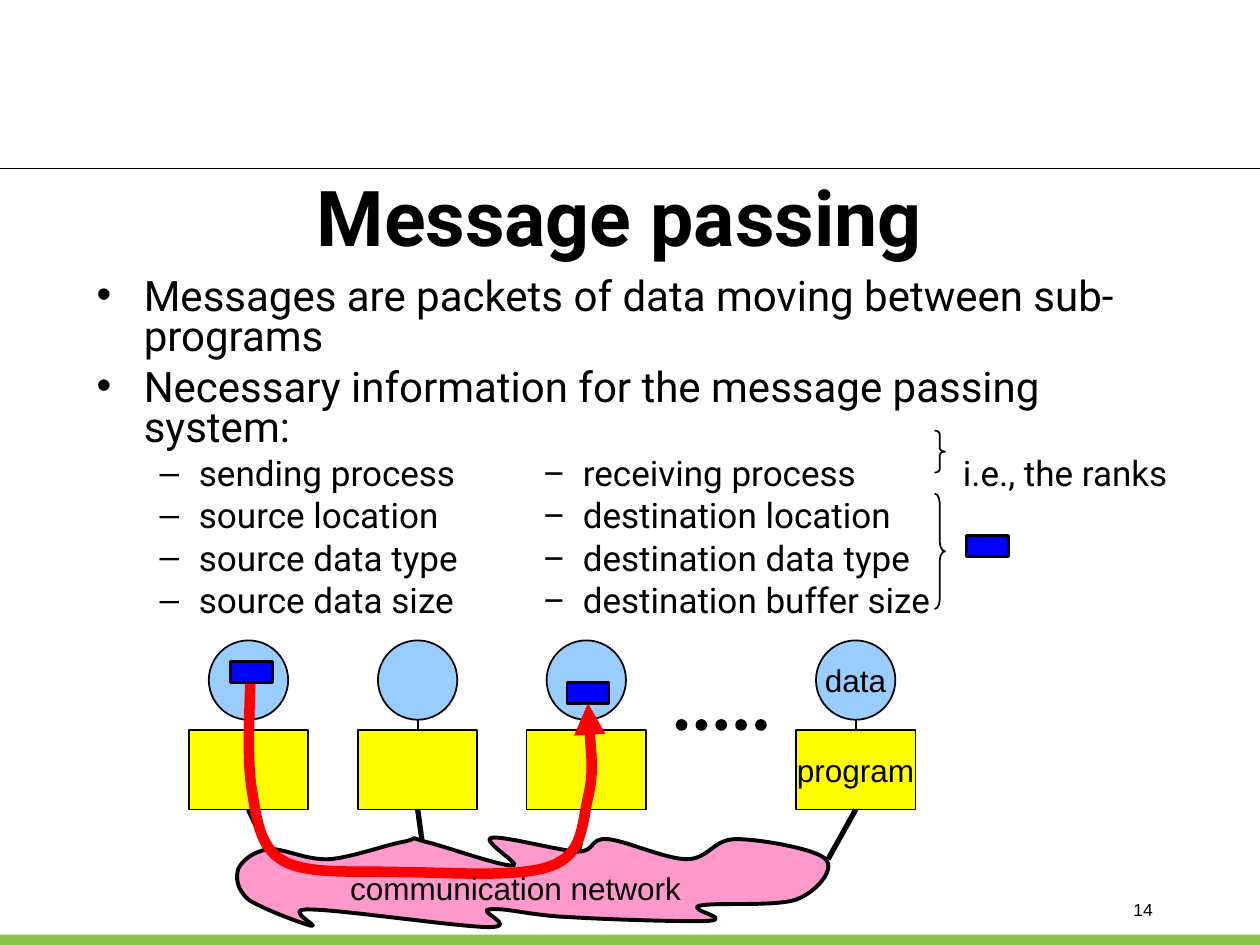
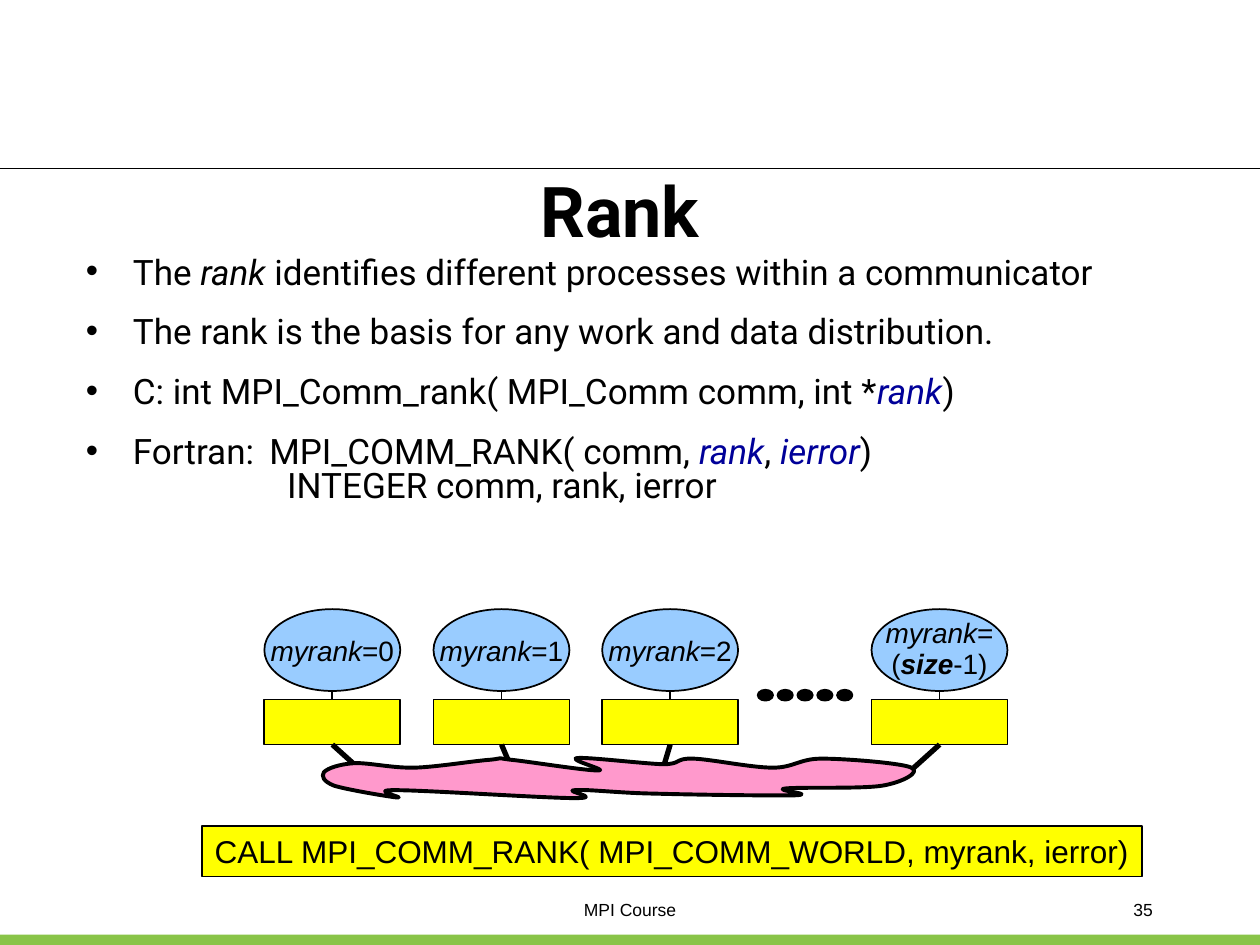
"""Build two slides on message passing and process ranks."""
from lxml.etree import SubElement
from pptx import Presentation
from pptx.dml.color import RGBColor
from pptx.enum.shapes import MSO_CONNECTOR, MSO_SHAPE
from pptx.enum.text import MSO_ANCHOR, PP_ALIGN
from pptx.oxml.ns import qn
from pptx.util import Cm, Pt

BLACK, GREEN, SKY, YELLOW = "000000", "89C448", "99CCFF", "FFFF00"
PINK, RED, BLUE, NAVY = "FF99CC", "FF0000", "0000FF", "000099"

PASSING = [
    (0, "Messages are packets of data moving between sub-programs"),
    (0, "Necessary information for the message passing system:"),
    (1, "sending process\t–\treceiving process\ti.e., the ranks"),
    (1, "source location\t–\tdestination location"),
    (1, "source data type\t–\tdestination data type"),
    (1, "source data size\t–\tdestination buffer size"),
]
RANK = [
    (0, [("The ", ""), ("rank", "i"),
         (" identifies different processes within a communicator", "")]),
    (0, "The rank is the basis for any work and data distribution."),
    (0, [("C: int MPI_Comm_rank( MPI_Comm comm, int *", ""),
         ("rank", "iv"), (")", "")]),
    (0, [("Fortran:\tMPI_COMM_RANK( comm, ", ""), ("rank", "iv"), (", ", ""),
         ("ierror", "iv"), (")\n\t\tINTEGER comm, rank, ierror", "")]),
]
CALL = "CALL MPI_COMM_RANK( MPI_COMM_WORLD, myrank, ierror)"
RANKS = [[("myrank", "i"), (f"={n}", "")] for n in range(3)]
RANKS.append([("myrank", "i"), ("=\n(", ""), ("size", "bi"), ("-1)", "")])

BULLETS = [("•", 0.95, 0.95), ("–", 2.06, 0.79)]
NODES = [5.01, 8.42, 11.82, 17.25]
LINKS = [(25, 11), (148, 5), (272, 13), (470, 19)]
GRID = 477, 73
CLOUD = [
    (26, 11), (38, 10), (56, 20), (74, 19), (91, 18), (121, 7), (134, 5),
    (147, 2), (136, 1), (150, 5), (164, 8), (211, 25), (220, 24),
    (228, 24), (194, 4), (203, 2), (211, 0), (256, 12), (271, 13),
    (286, 13), (280, 2), (295, 3), (309, 4), (341, 19), (358, 19),
    (375, 19), (379, 3), (397, 3), (416, 3), (461, 11), (468, 19),
    (476, 27), (461, 45), (445, 51), (428, 57), (380, 53), (368, 56),
    (357, 59), (394, 66), (376, 68), (359, 69), (294, 67), (264, 65),
    (235, 64), (212, 57), (201, 59), (191, 60), (225, 73), (201, 73),
    (178, 73), (83, 59), (59, 59), (36, 58), (68, 73), (60, 72),
    (52, 70), (20, 58), (10, 51), (1, 43), (0, 34), (2, 27),
    (5, 20), (14, 13), (26, 11),
]
ROUTE = [
    (3, 0), (3, 14), (0, 61), (4, 85), (8, 109), (10, 132), (29, 143),
    (48, 154), (85, 151), (121, 152), (156, 152), (217, 157), (242, 147),
    (267, 138), (266, 115), (271, 93), (276, 72), (272, 45), (271, 18),
]


def paint(fmt, tint):
    if tint:
        fmt.solid()
        fmt.fore_color.rgb = RGBColor.from_string(tint)
    else:
        fmt.background()


def style(shape, fill, line=BLACK, width=1):
    shape.shadow.inherit = False
    paint(shape.fill, fill)
    paint(shape.line.fill, line)
    shape.line.width = Pt(width)


def draw(slide, kind, box, fill, line=BLACK, width=1):
    shape = slide.shapes.add_shape(kind, *map(Cm, box))
    style(shape, fill, line, width)
    return shape


def join(slide, start, end, width=1):
    line = slide.shapes.add_connector(MSO_CONNECTOR.STRAIGHT, *map(Cm, start + end))
    paint(line.line.fill, BLACK)
    line.line.width = Pt(width)
    SubElement(line._element.spPr, qn("a:effectLst"))


def curve(slide, points, left, top, scale, close):
    pen = slide.shapes.build_freeform(*points[0], scale=scale)
    pen.add_line_segments(points[1:], close=close)
    shape = pen.convert_to_shape(Cm(left), Cm(top))
    trail = next(shape._element.iter(qn("a:path")))
    steps = iter(trail.findall(qn("a:lnTo")))
    for first, *rest in zip(steps, steps, steps):
        first.tag = qn("a:cubicBezTo")
        for step in rest:
            first.append(step[0])
            trail.remove(step)
    return shape


def write(para, runs, size, face="Arial", align=PP_ALIGN.LEFT, bold=False):
    para.alignment = align
    font = para.font
    font.size, font.name, font.bold = Pt(size), face, bold
    font.color.rgb = RGBColor.from_string(BLACK)
    for text, marks in [(runs, "")] if isinstance(runs, str) else runs:
        for i, part in enumerate(text.split("\n")):
            if i:
                para.add_line_break()
            run = para.add_run()
            run.text = part
            if "i" in marks:
                run.font.italic = True
            if "b" in marks:
                run.font.bold = True
            if "v" in marks:
                run.font.color.rgb = RGBColor.from_string(NAVY)


def label(shape, runs, size, align=PP_ALIGN.CENTER, anchor=MSO_ANCHOR.MIDDLE):
    frame = shape.text_frame
    frame.word_wrap = False
    frame.vertical_anchor = anchor
    write(frame.paragraphs[0], runs, size, align=align)
    return frame.paragraphs[0]


def block(slide, box, anchor=MSO_ANCHOR.TOP):
    frame = slide.shapes.add_textbox(*map(Cm, box)).text_frame
    frame.word_wrap = True
    frame.vertical_anchor = anchor
    return frame


def body(slide, box, items, sizes, gaps, tabs):
    frame = block(slide, box)
    for i, (level, runs) in enumerate(items):
        para = frame.add_paragraph() if i else frame.paragraphs[0]
        mark, left, hang = BULLETS[level]
        props = para._p.get_or_add_pPr()
        props.set("marL", str(Cm(left)))
        props.set("indent", str(-Cm(hang)))
        tint = SubElement(props, qn("a:buClr"))
        SubElement(tint, qn("a:srgbClr"), val=BLACK)
        SubElement(props, qn("a:buFont"), typeface="Arial")
        SubElement(props, qn("a:buChar"), char=mark)
        stops = SubElement(props, qn("a:tabLst"))
        for tab in tabs:
            SubElement(stops, qn("a:tab"), pos=str(Cm(tab)), algn="l")
        para.line_spacing = 0.8
        if i:
            para.space_before = Pt(gaps[level])
        write(para, runs, sizes[level], "Roboto")


def start(deck, title, top, high, size, page, foot=None):
    slide = deck.slides.add_slide(deck.slide_layouts[6])
    draw(slide, MSO_SHAPE.RECTANGLE, (0, 18.84, 25.4, 0.21), GREEN, None)
    join(slide, (0, 3.39), (25.4, 3.39), 0.75)
    if foot:
        frame = block(slide, (8.04, 17.99, 9.32, 0.64))
        write(frame.paragraphs[0], foot, 10, align=PP_ALIGN.CENTER)
    frame = block(slide, (18.21, 17.99, 5.28, 0.64))
    write(frame.paragraphs[0], page, 10, align=PP_ALIGN.RIGHT)
    frame = block(slide, (1.7, top, 21.59, high), MSO_ANCHOR.MIDDLE)
    write(frame.paragraphs[0], title, size, "Roboto", PP_ALIGN.CENTER, True)
    return slide


def network(slide, shift, oval, box, dot, cloud, ovals, boxes, size):
    top, wide, high = oval
    base, span, tall = box
    left, roof, width, depth = cloud
    floor = top + high
    for mid, name, task in zip(NODES, ovals, boxes):
        mid += shift
        shape = draw(slide, MSO_SHAPE.OVAL, (mid - wide / 2, top, wide, high), SKY)
        if name:
            para = label(shape, name, size)
            para.line_spacing = 0.9 if "\n" in name[1][0] else 1.0
        shape = draw(slide, MSO_SHAPE.RECTANGLE, (mid - span / 2, base, span, tall), YELLOW)
        if task:
            label(shape, task, size)
        join(slide, (mid, floor), (mid, base))
    for i in range(5):
        x, y = 13.74 + shift + 0.4 * i, (floor + base) / 2
        draw(slide, MSO_SHAPE.OVAL, (x - dot[0] / 2, y - dot[1] / 2, *dot), BLACK)
    scale = Cm(width) / GRID[0], Cm(depth) / GRID[1]
    style(curve(slide, CLOUD, left, roof, scale, True), PINK, width=2.25)
    for mid, (x, y) in zip(NODES, LINKS):
        end = left + x * width / GRID[0], roof + y * depth / GRID[1]
        join(slide, (mid + shift, base + tall), end, 3)


def passing(deck):
    slide = start(deck, "Message passing", 3.18, 2.33, 44, "14")
    body(slide, (1.7, 5.5, 22.48, 7.19), PASSING, (24, 20), (6, 5), (8.99, 9.8, 17.46))
    network(slide, 0, (12.91, 1.6, 1.6), (14.72, 2.41, 1.6), (0.2, 0.2),
            (4.75, 16.84, 12.12, 1.85),
            ["", "", "", "data"], ["", "", "", "program"], 18)
    route = curve(slide, ROUTE, 4.97, 13.72, (Cm(0.0254), Cm(0.0254)), False)
    style(route, None, RED, 6)
    SubElement(route.line._get_or_add_ln(), qn("a:tailEnd"), type="triangle")
    note = slide.shapes.add_textbox(*map(Cm, (6.81, 17.4, 7.8, 1.02)))
    label(note, "communication network", 18, PP_ALIGN.LEFT, MSO_ANCHOR.TOP)
    for x, y in [(4.65, 13.34), (11.43, 13.76), (19.48, 10.8)]:
        draw(slide, MSO_SHAPE.RECTANGLE, (x, y, 0.85, 0.42), BLUE, width=1.5)
    for y, high in [(8.68, 0.85), (9.95, 2.33)]:
        brace = draw(slide, MSO_SHAPE.RIGHT_BRACE, (18.84, y, 0.21, high), None)
        brace.adjustments[0] = high / 0.21 / 12


def rank(deck):
    slide = start(deck, "Rank", 3.38, 1.69, 40, "35", "MPI Course")
    body(slide, (1.48, 5.08, 22.01, 6.99), RANK, (20,), (15,), (3.7, 4.06))
    network(slide, 1.69, (12.28, 2.74, 1.65), (14.1, 2.74, 0.91), (0.31, 0.22),
            (6.48, 15.26, 12.12, 0.83), RANKS, [""] * 4, 16)
    shape = draw(slide, MSO_SHAPE.RECTANGLE, (4.08, 16.65, 18.95, 1.02), YELLOW)
    label(shape, CALL, 18, PP_ALIGN.LEFT, MSO_ANCHOR.TOP)


def main():
    deck = Presentation()
    deck.slide_width, deck.slide_height = Cm(25.4), Cm(19.05)
    passing(deck)
    rank(deck)
    deck.save("out.pptx")


if __name__ == "__main__":
    main()
